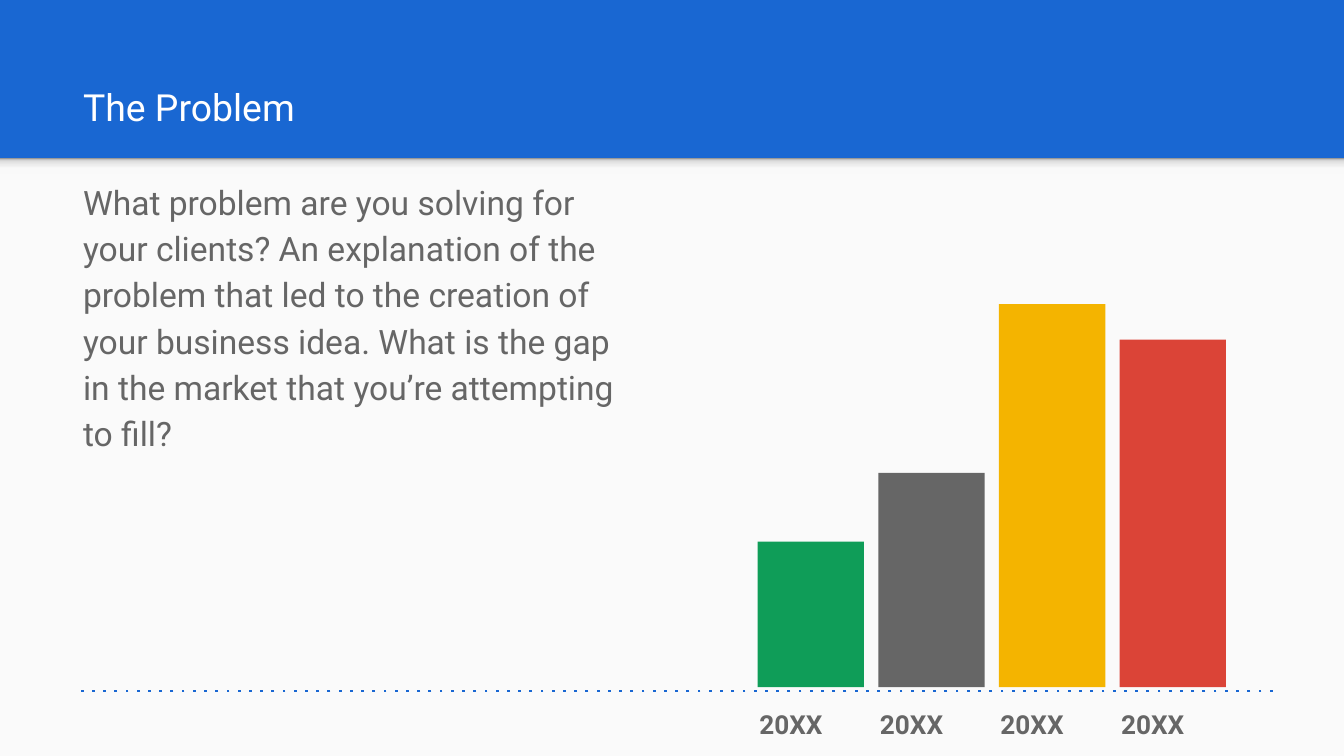
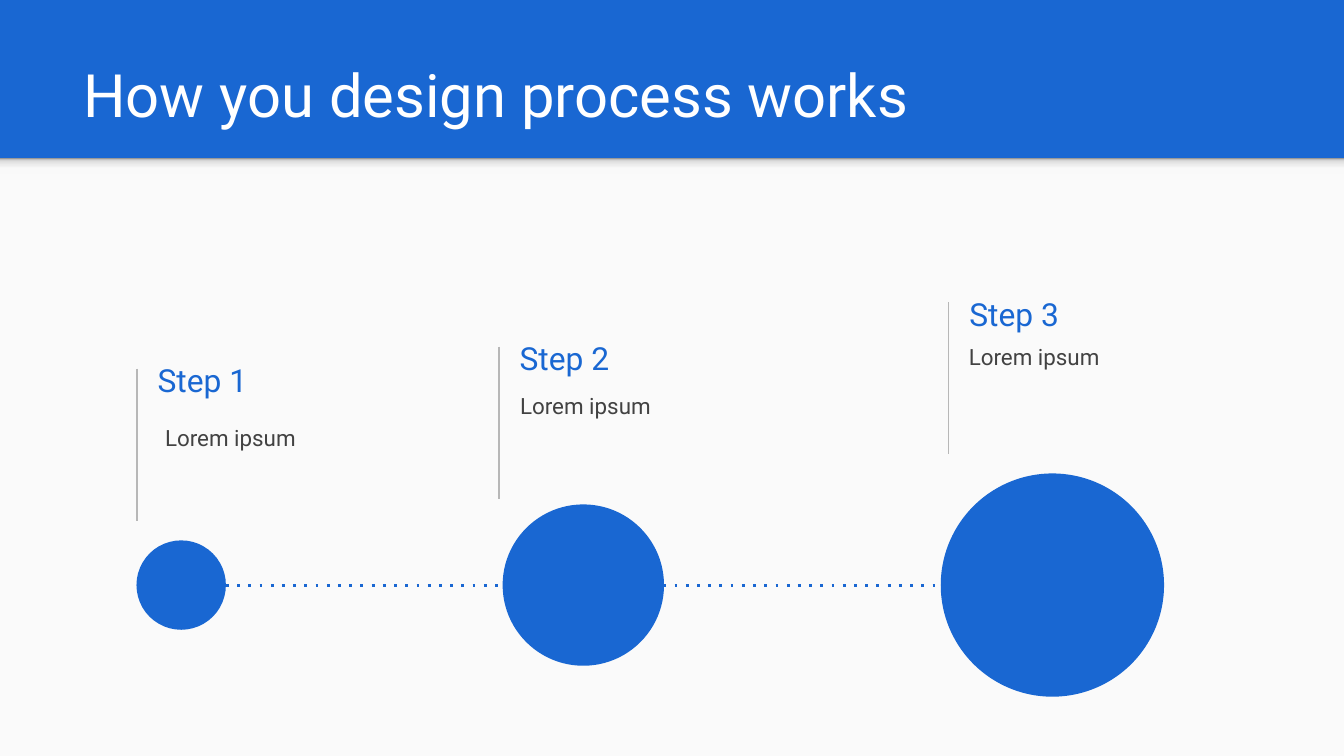
from dataclasses import dataclass

from lxml.etree import SubElement
from pptx import Presentation
from pptx.dml.color import RGBColor
from pptx.enum.shapes import MSO_CONNECTOR, MSO_SHAPE
from pptx.enum.text import MSO_ANCHOR
from pptx.oxml.ns import qn
from pptx.util import Cm, Pt

SLIDE_W, SLIDE_H = 25.4, 14.29
NO_TABLE_STYLE = "{2D5ABB26-0587-4C30-8999-92F81FD0307C}"


@dataclass(frozen=True)
class Theme:
    font: str = "Roboto"
    blue: str = "1967D2"
    paper: str = "FAFAFA"
    white: str = "FFFFFF"
    gray: str = "666666"
    dark: str = "424242"
    rule: str = "B7B7B7"
    green: str = "0F9D58"
    yellow: str = "F4B400"
    red: str = "DB4437"
    shadow: tuple = ((0, "F9F9F9"), (36, "F9F9F9"), (80, "DEDEDE"), (100, "999999"))
    title: int = 32
    small_title: int = 20
    body: int = 18
    step: int = 17
    label: int = 14
    note: int = 12
    inset: float = 0.25
    spacing: float = 1.15
    after: int = 16


class Deck:
    def __init__(self, theme):
        self.theme = theme
        self.prs = Presentation()
        self.prs.slide_width, self.prs.slide_height = Cm(SLIDE_W), Cm(SLIDE_H)
        self.slide = None

    def new_slide(self, title, size):
        """Start a slide with the blue header, its shadow and the title."""
        t = self.theme
        self.slide = self.prs.slides.add_slide(self.prs.slide_layouts[6])
        fill = self.slide.background.fill
        fill.solid()
        fill.fore_color.rgb = RGBColor.from_string(t.blue)
        self.shape(0, 3.28, SLIDE_W, SLIDE_H - 3.28, t.paper)
        self.header_shadow()
        self.text(1.32, 0.56, 22.83, 2.13, title, size, t.white, MSO_ANCHOR.BOTTOM)

    def header_shadow(self):
        sp = self.shape(0, 2.98, SLIDE_W, 0.32, self.theme.paper)
        sp.fill.gradient()
        sp.fill.gradient_angle = 90
        stops = sp.element.spPr.find(".//" + qn("a:gsLst"))
        for stop in list(stops):
            stops.remove(stop)
        for percent, color in self.theme.shadow:
            stop = SubElement(stops, qn("a:gs"), pos=str(percent * 1000))
            SubElement(stop, qn("a:srgbClr"), val=color)

    def shape(self, x, y, w, h, color, kind=MSO_SHAPE.RECTANGLE):
        sp = self.slide.shapes.add_shape(kind, Cm(x), Cm(y), Cm(w), Cm(h))
        sp.shadow.inherit = False
        sp.fill.solid()
        sp.fill.fore_color.rgb = RGBColor.from_string(color)
        sp.line.fill.background()
        return sp

    def style(self, p, size, color, bold=False):
        p.font.name, p.font.size, p.font.bold = self.theme.font, Pt(size), bold
        p.font.color.rgb = RGBColor.from_string(color)

    def text(self, x, y, w, h, text, size, color, anchor=MSO_ANCHOR.TOP):
        box = self.slide.shapes.add_textbox(Cm(x), Cm(y), Cm(w), Cm(h))
        tf = box.text_frame
        tf.word_wrap = True
        tf.vertical_anchor = anchor
        tf.margin_left = tf.margin_right = Cm(self.theme.inset)
        tf.margin_top = tf.margin_bottom = Cm(self.theme.inset)
        p = tf.paragraphs[0]
        p.text = text
        self.style(p, size, color)
        return p

    def body(self, x, y, w, h, text, size, color):
        p = self.text(x, y, w, h, text, size, color)
        p.line_spacing = self.theme.spacing
        p.space_after = Pt(self.theme.after)

    def line(self, x1, y1, x2, y2, color, width, dotted=False):
        cxn = self.slide.shapes.add_connector(
            MSO_CONNECTOR.STRAIGHT, Cm(x1), Cm(y1), Cm(x2), Cm(y2))
        cxn.line.color.rgb = RGBColor.from_string(color)
        cxn.line.width = Pt(width)
        spPr = cxn.element.spPr
        if dotted:
            SubElement(spPr.find(qn("a:ln")), qn("a:prstDash"), val="dot")
        SubElement(spPr, qn("a:effectLst"))

    def label_row(self, x, y, col_w, h, labels):
        """Add a one-row table without fill or borders."""
        t = self.theme
        frame = self.slide.shapes.add_table(
            1, len(labels), Cm(x), Cm(y), Cm(col_w * len(labels)), Cm(h))
        frame.element.find(".//" + qn("a:tableStyleId")).text = NO_TABLE_STYLE
        table = frame.table
        table.first_row = table.horz_banding = False
        for col, label in enumerate(labels):
            table.columns[col].width = Cm(col_w)
            cell = table.cell(0, col)
            cell.fill.background()
            cell.margin_left = cell.margin_right = Cm(t.inset)
            cell.margin_top = cell.margin_bottom = Cm(t.inset)
            p = cell.text_frame.paragraphs[0]
            p.text = label
            p.line_spacing = t.spacing
            self.style(p, t.label, t.gray, bold=True)


def problem_slide(deck):
    t = deck.theme
    deck.new_slide("The Problem", t.small_title)
    deck.body(1.32, 3.07, 11.1, 10.64,
              "What problem are you solving for your clients? An explanation of the "
              "problem that led to the creation of your business idea. What is the gap "
              "in the market that you’re attempting to fill?", t.body, t.gray)
    pitch, base = 2.28, 12.99
    bars = ((2.75, t.green), (4.05, t.gray), (7.24, t.yellow), (6.57, t.red))
    deck.label_row(14.1, 13.08, pitch, 0.66, ["20XX"] * len(bars))
    for i, (height, color) in enumerate(bars):
        deck.shape(14.32 + i * pitch, base - height, 2.01, height, color)
    deck.line(24.05, 13.06, 1.42, 13.06, t.blue, 1.5, dotted=True)


def process_slide(deck):
    t = deck.theme
    deck.new_slide("How you design process works", t.title)
    # rule left, rule top, note left, top, width and height
    steps = (
        (2.59, 6.97, 2.87, 7.7, 3.53, 1.4),
        (9.43, 6.55, 9.58, 7.09, 5.03, 1.6),
        (17.93, 5.71, 18.06, 6.17, 5.03, 1.6),
    )
    for number, (x, y, *note) in enumerate(steps, 1):
        deck.line(x, y, x, y + 2.88, t.rule, 0.75)
        deck.text(x + 0.14, y - 0.33, 5.03, 1.09, f"Step {number}",
                  t.step, t.blue, MSO_ANCHOR.MIDDLE)
        deck.body(*note, "Lorem ipsum", t.note, t.dark)

    axis = 11.06
    circles = ((2.58, 1.69), (9.5, 3.05), (17.78, 4.22))
    deck.line(4.27, axis, 17.78, axis, t.blue, 1.5, dotted=True)
    for x, size in circles:
        deck.shape(x, axis - size / 2, size, size, t.blue, MSO_SHAPE.OVAL)


def main():
    deck = Deck(Theme())
    problem_slide(deck)
    process_slide(deck)
    deck.prs.save("out.pptx")


if __name__ == "__main__":
    main()
